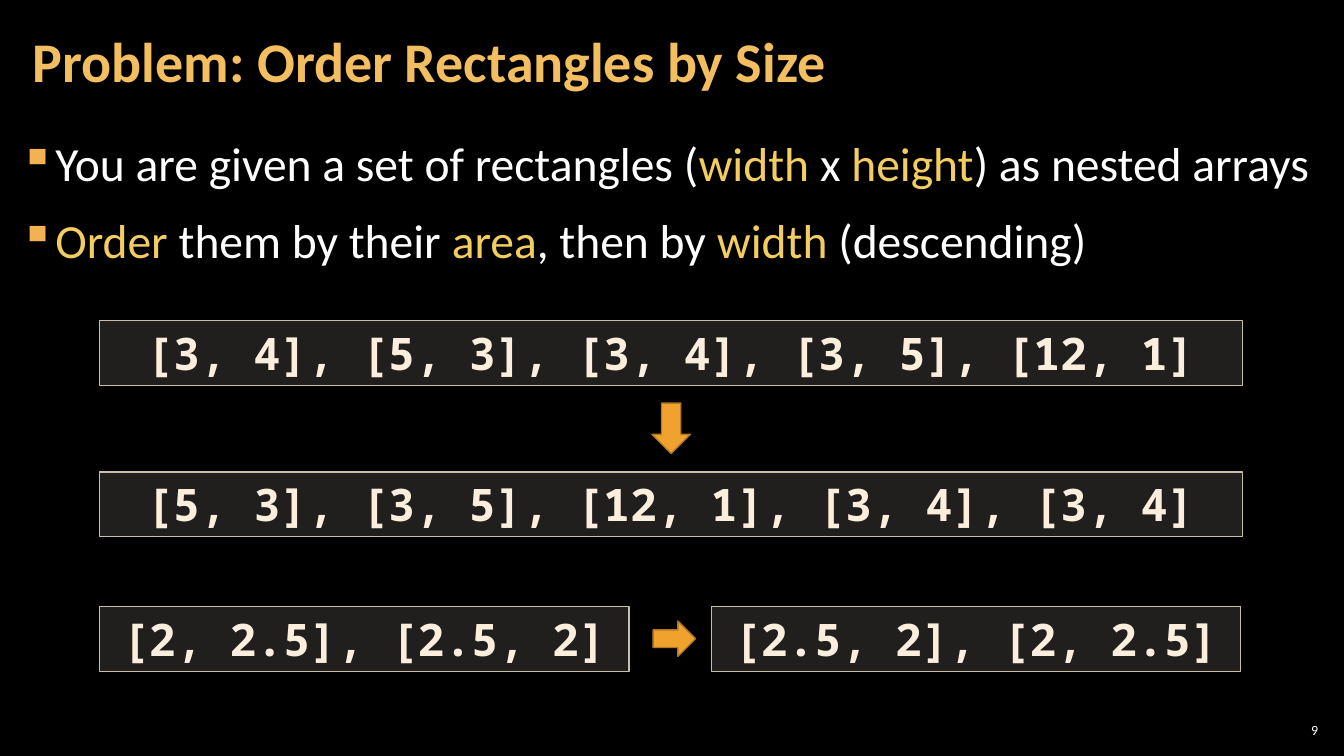
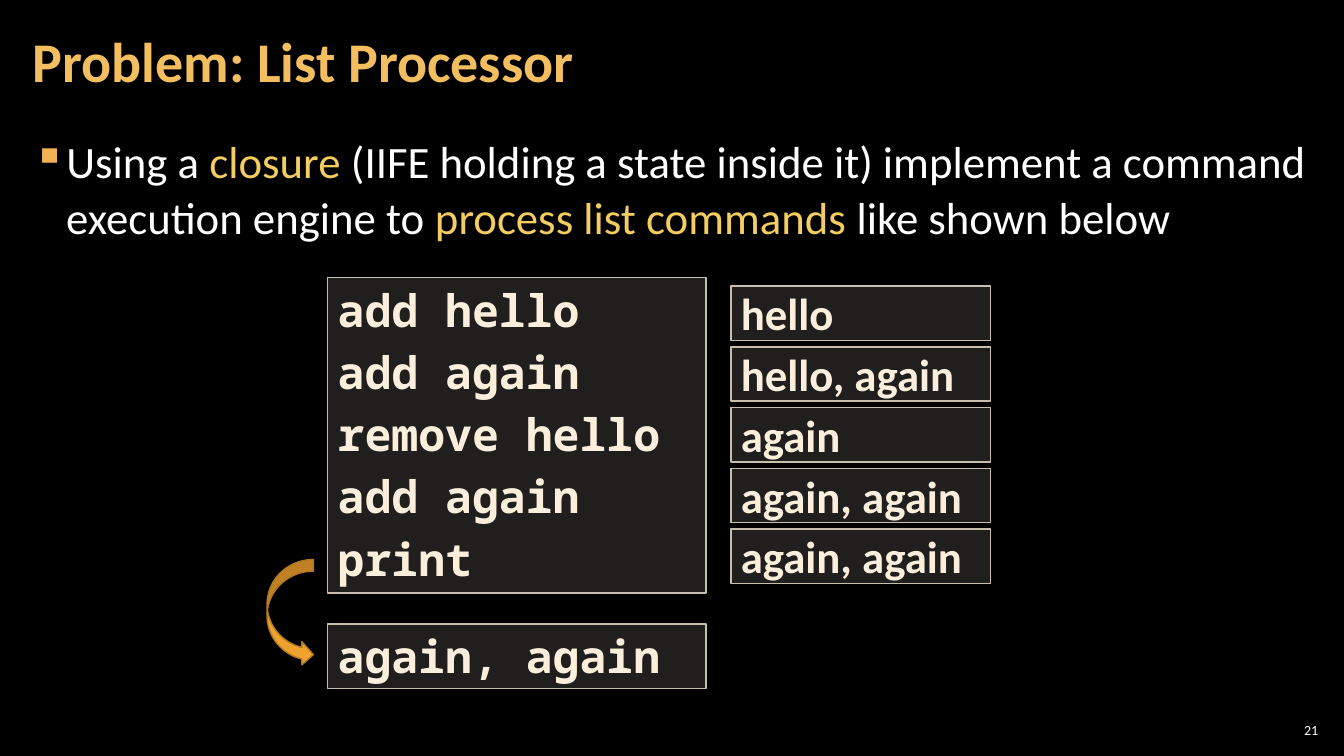
import pptx
import pptx.dml.color
import pptx.enum.shapes
import pptx.enum.text
import pptx.oxml.ns
import pptx.util
from lxml import etree

Cm = pptx.util.Cm
Pt = pptx.util.Pt
Shape = pptx.enum.shapes.MSO_SHAPE
Anchor = pptx.enum.text.MSO_ANCHOR
Align = pptx.enum.text.PP_ALIGN
Fit = pptx.enum.text.MSO_AUTO_SIZE

BLACK = "000000"
WHITE = "FFFFFF"
TITLE_GOLD = "F3BE60"
EMPHASIS_GOLD = "F3CD60"
BULLET_GOLD = "F2B254"
ARROW_FILL = "F0A22E"
ARROW_LINE = "B27822"
PANEL_FILL = "D9D5C7"
PANEL_LINE = "C7BFAC"
PANEL_TEXT = "FBEEDC"

TEXT_FONT = "Calibri"
CODE_FONT = "Noto Sans Mono"
BULLET_INDENT = Cm(0.84)


def rgb(color):
    return pptx.dml.color.RGBColor.from_string(color)


def add_element(parent, tag, **attributes):
    return etree.SubElement(parent, pptx.oxml.ns.qn(tag), **attributes)


def add_bullet(paragraph):
    properties = paragraph._p.get_or_add_pPr()
    properties.set("marL", str(BULLET_INDENT))
    properties.set("indent", str(-BULLET_INDENT))
    add_element(add_element(properties, "a:buClr"), "a:srgbClr", val=BULLET_GOLD)
    add_element(properties, "a:buChar", char="▪")


def write_text(shape, text, size, color=WHITE, font=TEXT_FONT, bold=False,
               align=Align.LEFT, anchor=Anchor.TOP, insets=(0.25, 0.13),
               line_spacing=None, before=0, after=0, bullets=False, fit=Fit.NONE):
    frame = shape.text_frame
    frame.word_wrap = True
    frame.auto_size = fit
    frame.vertical_anchor = anchor
    frame.margin_left = frame.margin_right = Cm(insets[0])
    frame.margin_top = frame.margin_bottom = Cm(insets[1])
    for index, line in enumerate(text.split("\n")):
        paragraph = frame.add_paragraph() if index else frame.paragraphs[0]
        if bullets:
            add_bullet(paragraph)
        paragraph.alignment = align
        paragraph.line_spacing = line_spacing
        paragraph.space_before = Pt(before if index else 0)
        paragraph.space_after = Pt(after)
        for position, part in enumerate(line.split("*")):
            if not part:
                continue
            run = paragraph.add_run()
            run.text = part
            run.font.name = font
            run.font.size = Pt(size)
            run.font.bold = bold
            run.font.color.rgb = rgb(EMPHASIS_GOLD if position % 2 else color)


def add_text(slide, box, text, **text_format):
    shape = slide.shapes.add_textbox(*map(Cm, box))
    write_text(shape, text, **text_format)


def add_filled_shape(slide, kind, box, fill, line):
    shape = slide.shapes.add_shape(kind, *map(Cm, box))
    shape.shadow.inherit = False
    shape.fill.solid()
    shape.fill.fore_color.rgb = rgb(fill)
    shape.line.color.rgb = rgb(line)
    shape.line.width = Pt(1)
    return shape


def add_arrow(slide, kind, box):
    add_filled_shape(slide, kind, box, ARROW_FILL, ARROW_LINE)


def add_panel(slide, box, text, font=CODE_FONT, **text_format):
    shape = add_filled_shape(slide, Shape.RECTANGLE, box, PANEL_FILL, PANEL_LINE)
    fill_color = shape._element.spPr.find(
        pptx.oxml.ns.qn("a:solidFill") + "/" + pptx.oxml.ns.qn("a:srgbClr"))
    add_element(fill_color, "a:alpha", val="15000")
    write_text(shape, text, size=32, color=PANEL_TEXT, font=font, bold=True,
               fit=Fit.SHAPE_TO_FIT_TEXT, **text_format)


def add_body(slide, box, text, size):
    add_text(slide, box, text, size=size, insets=(0.3, 0.1), line_spacing=1.05,
             before=6, after=6, bullets=True)


def add_slide(presentation, title, number):
    slide = presentation.slides.add_slide(presentation.slide_layouts[6])
    add_text(slide, (0.53, 0.1, 26.59, 3.07), title, size=40, color=TITLE_GOLD,
             bold=True, anchor=Anchor.MIDDLE, insets=(0.3, 0.1), line_spacing=0.9)
    add_text(slide, (32.13, 18.14, 1.19, 0.53), number, size=10,
             align=Align.RIGHT, anchor=Anchor.MIDDLE, insets=(0.1, 0.1))
    return slide


def build_rectangles_slide(presentation):
    slide = add_slide(presentation, "Problem: Order Rectangles by Size", "9")
    add_body(slide, (0.2, 3.2, 33.45, 15.47),
             "You are given a set of rectangles (*width* x *height*) as nested arrays\n"
             "*Order* them by their *area*, then by *width* (descending)", size=34)
    panels = [
        (2.51, 8.08, 28.8, "[3, 4], [5, 3], [3, 4], [3, 5], [12, 1]"),
        (2.51, 11.89, 28.8, "[5, 3], [3, 5], [12, 1], [3, 4], [3, 4]"),
        (2.51, 15.29, 13.34, "[2, 2.5], [2.5, 2]"),
        (17.93, 15.29, 13.34, "[2.5, 2], [2, 2.5]"),
    ]
    for left, top, width, text in panels:
        add_panel(slide, (left, top, width, 1.63), text, align=Align.CENTER)
    add_arrow(slide, Shape.DOWN_ARROW, (16.43, 10.16, 0.97, 1.27))
    add_arrow(slide, Shape.RIGHT_ARROW, (16.46, 15.65, 1.07, 0.89))


def build_list_slide(presentation):
    slide = add_slide(presentation, "Problem: List Processor", "21")
    add_body(slide, (0.53, 3.2, 32.79, 15.47),
             "Using a *closure* (IIFE holding a state inside it) implement a command "
             "execution engine to *process list commands *like shown below", size=32)
    states = ["hello", "hello, again", "again", "again, again", "again, again"]
    for index, state in enumerate(states):
        add_panel(slide, (18.42, 7.21 + 1.53 * index, 6.55, 1.37), state,
                  font=TEXT_FONT, insets=(0.25, 0))
    add_panel(slide, (8.26, 6.99, 9.53, 7.95),
              "add hello\nadd again\nremove hello\nadd again\nprint", before=6)
    add_panel(slide, (8.26, 15.72, 9.53, 1.63), "again, again")
    add_arrow(slide, Shape.CURVED_RIGHT_ARROW, (6.73, 14.1, 1.17, 2.69))


def main():
    presentation = pptx.Presentation()
    presentation.slide_width = Cm(33.87)
    presentation.slide_height = Cm(19.05)
    background = presentation.slide_master.background.fill
    background.solid()
    background.fore_color.rgb = rgb(BLACK)
    build_rectangles_slide(presentation)
    build_list_slide(presentation)
    presentation.save("out.pptx")


if __name__ == "__main__":
    main()
